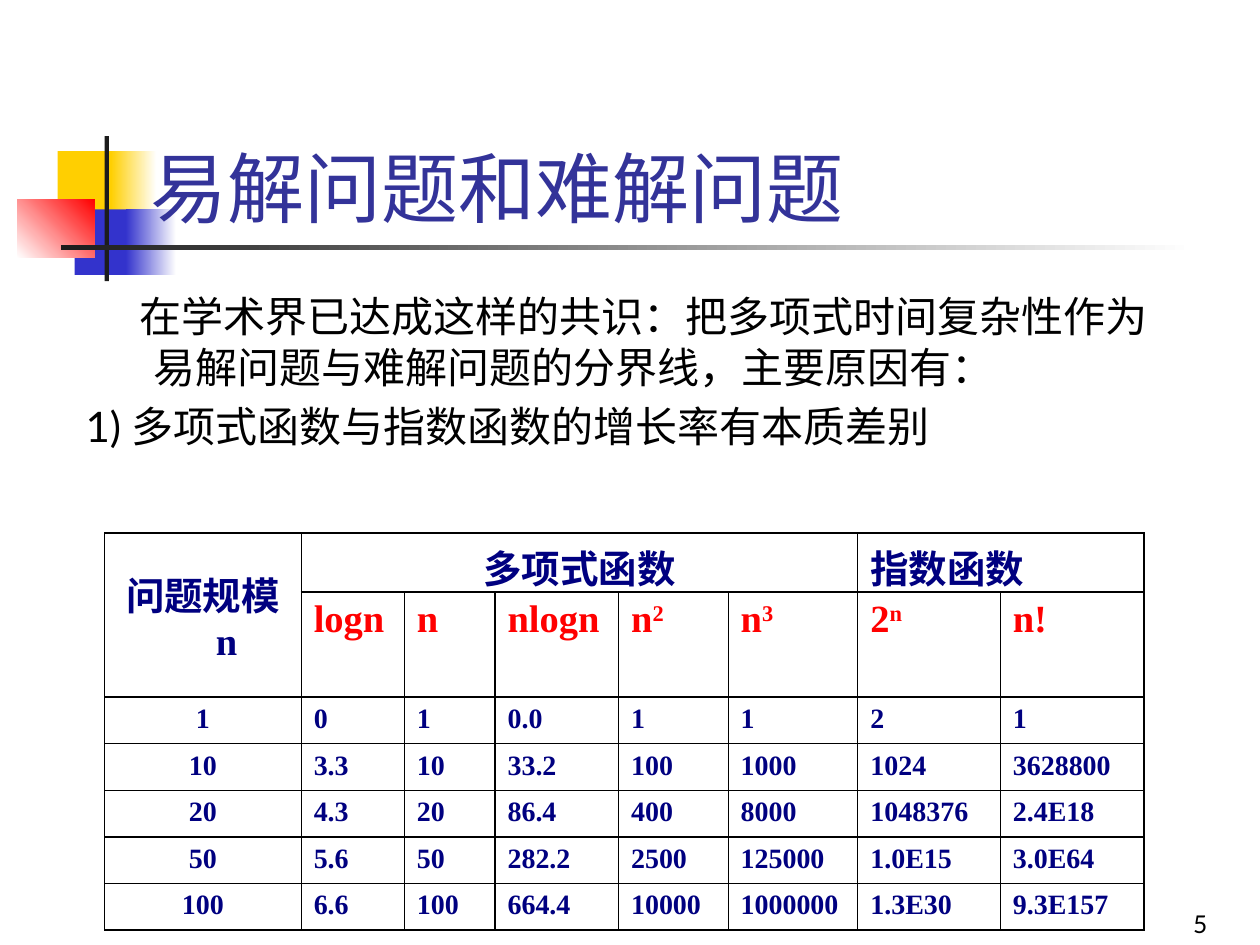
from lxml import etree
from pptx import Presentation
from pptx.dml.color import RGBColor
from pptx.enum.shapes import MSO_SHAPE
from pptx.enum.text import MSO_ANCHOR, PP_ALIGN
from pptx.oxml.ns import qn
from pptx.util import Pt

RECTANGLE = MSO_SHAPE.RECTANGLE
TOP, MIDDLE, BOTTOM = MSO_ANCHOR.TOP, MSO_ANCHOR.MIDDLE, MSO_ANCHOR.BOTTOM
LEFT, CENTER, RIGHT = PP_ALIGN.LEFT, PP_ALIGN.CENTER, PP_ALIGN.RIGHT

COLORS = {
    "yellow": "FFCF01", "blue": "3333CC", "red": "FF0000", "dark": "1C1C1C",
    "white": "FFFFFF", "black": "000000", "title": "333399", "navy": "000080",
}
SANS, SERIF, CJK = "Lato", "Times New Roman", "Noto Sans CJK SC"

DECORATION = [
    ((33, 86.4, 34.5, 37.4), ["yellow"], 0),
    ((63.4, 86.4, 26, 37.4), ["yellow", "white"], 0),
    ((42.7, 119.7, 33, 37.4), ["blue"], 0),
    ((72, 119.7, 28.6, 37.4), ["blue", "white"], 0),
    ((9.8, 113.8, 44.2, 33.4), ["white", "red"], 45),
    ((59.8, 77.8, 2.4, 82.8), ["dark"], 0),
    ((34.6, 140.2, 648, 2.4), ["dark", "white"], 0),
]
COLUMN_WIDTHS = [112.3, 59, 51.8, 70.6, 62.6, 74.2, 81.4, 82.1]
ROW_HEIGHTS = [33.8] * 2 + [26.6] * 5
GROUPS = [(0, "问题规模n", 2, 1), (1, "多项式函数", 1, 5), (6, "指数函数", 1, 2)]
FUNCTIONS = [("logn", ""), ("n", ""), ("nlogn", ""), ("n", "2"), ("n", "3"), ("2", "n"), ("n!", "")]
VALUES = [
    ["1", "0", "1", "0.0", "1", "1", "2", "1"],
    ["10", "3.3", "10", "33.2", "100", "1000", "1024", "3628800"],
    ["20", "4.3", "20", "86.4", "400", "8000", "1048376", "2.4E18"],
    ["50", "5.6", "50", "282.2", "2500", "125000", "1.0E15", "3.0E64"],
    ["100", "6.6", "100", "664.4", "10000", "1000000", "1.3E30", "9.3E157"],
]


def rgb(name):
    """Return the named colour."""
    return RGBColor.from_string(COLORS[name])


def add_block(slide, box, colors, angle):
    """Add a borderless rectangle with a solid or two-colour gradient fill."""
    shape = slide.shapes.add_shape(RECTANGLE, *map(Pt, box))
    shape.shadow.inherit = False
    shape.line.fill.background()
    if len(colors) == 1:
        shape.fill.solid()
        shape.fill.fore_color.rgb = rgb(colors[0])
        return
    shape.fill.gradient()
    shape.fill.gradient_angle = angle
    for stop, position, color in zip(shape.fill.gradient_stops, (0, 1), colors):
        stop.position = position
        stop.color.rgb = rgb(color)


def style_paragraph(paragraph, size, color, latin=SANS, asian=SANS, bold=False,
                    align=LEFT, margin=0, indent=0):
    """Set the font, alignment and indents of a paragraph."""
    paragraph.alignment = align
    font = paragraph.font
    font.size, font.bold, font.name = Pt(size), bold, latin
    font.color.rgb = rgb(color)
    properties = paragraph._p.get_or_add_pPr()
    properties.set("marL", str(Pt(margin)))
    properties.set("indent", str(Pt(indent)))
    defaults = properties.find(qn("a:defRPr"))
    etree.SubElement(defaults, qn("a:ea")).set("typeface", asian)


def add_text(slide, box, lines, size, color, anchor=TOP, align=LEFT, margin=0):
    """Add a text box whose lines are pairs of text and first-line indent."""
    frame = slide.shapes.add_textbox(*map(Pt, box)).text_frame
    frame.word_wrap = True
    frame.vertical_anchor = anchor
    for index, (text, indent) in enumerate(lines):
        paragraph = frame.add_paragraph() if index else frame.paragraphs[0]
        paragraph.text = text
        style_paragraph(paragraph, size, color, align=align, margin=margin, indent=indent)
        if index:
            paragraph.space_before = Pt(size * 0.2)


def set_borders(cell):
    """Draw black lines on all four sides of a cell and leave it unfilled."""
    properties = cell._tc.get_or_add_tcPr()
    for side, width in (("L", 0.75), ("R", 0.75), ("T", 1), ("B", 1)):
        line = etree.SubElement(properties, qn(f"a:ln{side}"), w=str(Pt(width)))
        fill = etree.SubElement(line, qn("a:solidFill"))
        etree.SubElement(fill, qn("a:srgbClr"), val=COLORS["black"])
    cell.fill.background()


def fill_cell(cell, text, size, color, align=LEFT, superscript=""):
    """Write bold text with an optional superscript into a cell."""
    paragraph = cell.text_frame.paragraphs[0]
    paragraph.add_run().text = text
    if superscript:
        run = paragraph.add_run()
        run.text = superscript
        run._r.get_or_add_rPr().set("baseline", "30000")
    style_paragraph(paragraph, size, color, SERIF, CJK, True, align, 27, -27)


def add_growth_table(slide):
    """Add the table comparing polynomial and exponential growth."""
    table = slide.shapes.add_table(
        len(ROW_HEIGHTS), len(COLUMN_WIDTHS), Pt(59.8), Pt(304.6),
        Pt(sum(COLUMN_WIDTHS)), Pt(sum(ROW_HEIGHTS))).table
    table.first_row = table.horz_banding = False
    for column, width in zip(table.columns, COLUMN_WIDTHS):
        column.width = Pt(width)
    for row, height in zip(table.rows, ROW_HEIGHTS):
        row.height = Pt(height)
    for cell in table.iter_cells():
        set_borders(cell)
    for column, text, rows, columns in GROUPS:
        cell = table.cell(0, column)
        cell.merge(table.cell(rows - 1, column + columns - 1))
        fill_cell(cell, text, 22, "navy", LEFT if column == 6 else CENTER)
    table.cell(0, 0).vertical_anchor = MIDDLE
    for column, (base, power) in enumerate(FUNCTIONS, 1):
        fill_cell(table.cell(1, column), base, 22, "red", superscript=power)
    for row, values in enumerate(VALUES, 2):
        for column, value in enumerate(values):
            fill_cell(table.cell(row, column), value, 16, "navy", LEFT if column else CENTER)


def main():
    """Build the slide and save the presentation."""
    presentation = Presentation()
    presentation.slide_width, presentation.slide_height = Pt(720), Pt(540)
    slide = presentation.slides.add_slide(presentation.slide_layouts[6])
    for box, colors, angle in DECORATION:
        add_block(slide, box, colors, angle)
    add_text(slide, (41.8, 162.7, 642.2, 306), [
        ("在学术界已达成这样的共识：把多项式时间复杂性作为易解问题与难解问题的分界线，主要原因有：", -8),
        ("1) 多项式函数与指数函数的增长率有本质差别", -38.9),
    ], 24, "black", margin=38.9)
    add_growth_table(slide)
    add_text(slide, (529.2, 502.6, 167.8, 37.4), [("5", 0)], 14, "black", BOTTOM, RIGHT)
    add_text(slide, (79.2, 46.8, 648, 90), [("易解问题和难解问题", 0)], 44, "title", BOTTOM)
    presentation.save("out.pptx")


if __name__ == "__main__":
    main()
